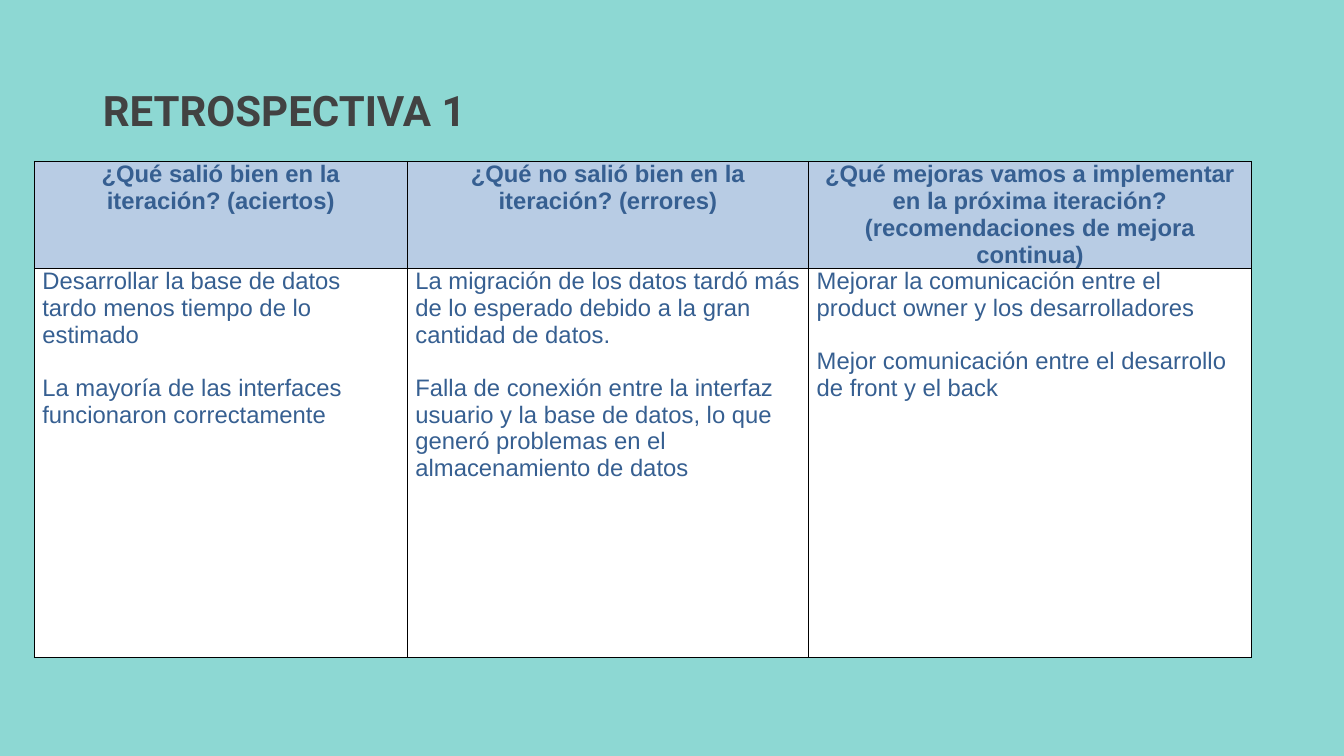
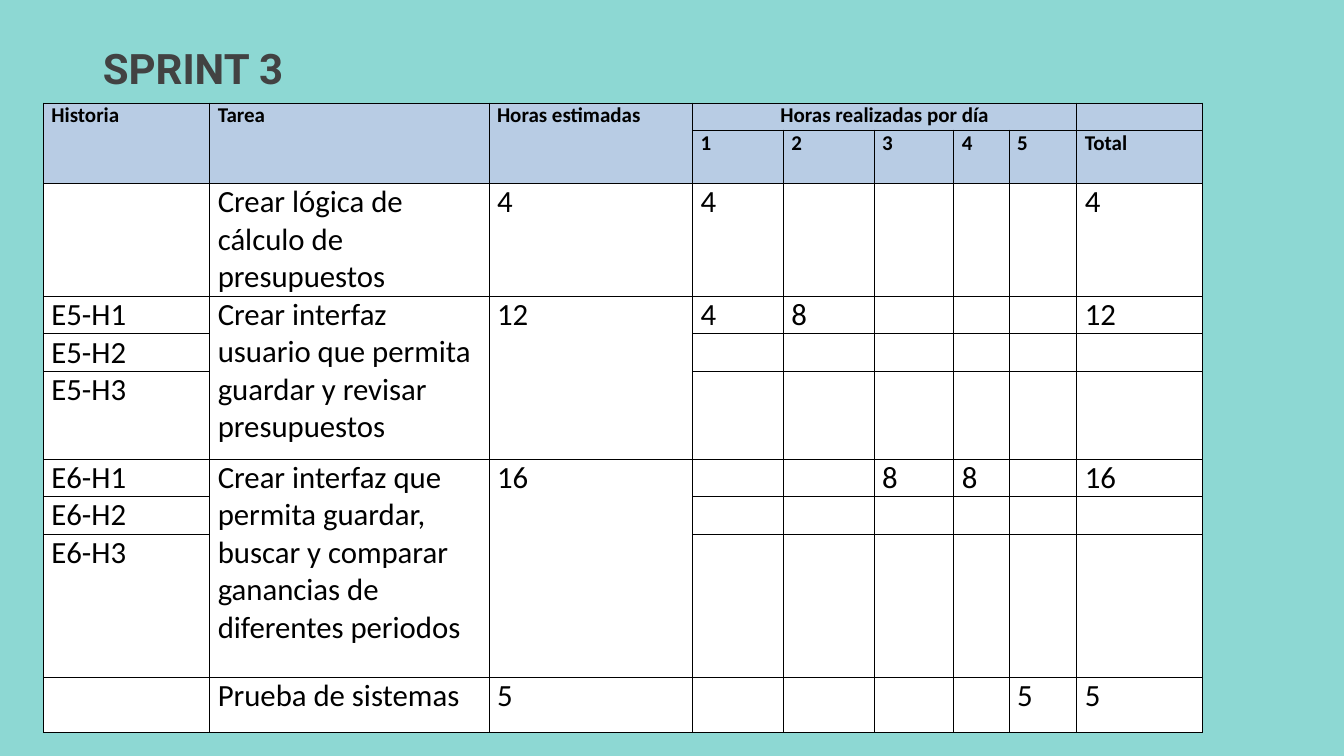
from lxml import etree
from pptx import Presentation
from pptx.dml.color import RGBColor
from pptx.enum.text import MSO_ANCHOR, MSO_AUTO_SIZE, PP_ALIGN
from pptx.oxml import parse_xml
from pptx.oxml.ns import nsdecls, qn
from pptx.util import Inches, Pt

LEFT, CENTER = PP_ALIGN.LEFT, PP_ALIGN.CENTER
MIDDLE = MSO_ANCHOR.MIDDLE
NO_AUTOFIT = MSO_AUTO_SIZE.NONE

BACKGROUND, TITLE_GREY = "8DD8D3", "424242"
HEADER_BLUE, TEXT_BLUE = "B8CCE4", "365F91"
WHITE, BLACK = "FFFFFF", "000000"
TITLE_ONLY = 5

REVIEW_COLUMNS = [
    ("¿Qué salió bien en la iteración? (aciertos)",
     ["Desarrollar la base de datos tardo menos tiempo de lo estimado",
      "La mayoría de las interfaces funcionaron correctamente"]),
    ("¿Qué no salió bien en la iteración? (errores)",
     ["La migración de los datos tardó más de lo esperado debido a la gran "
      "cantidad de datos.",
      "Falla de conexión entre la interfaz usuario y la base de datos, lo que "
      "generó problemas en el almacenamiento de datos"]),
    ("¿Qué mejoras vamos a implementar en la próxima iteración? "
     "(recomendaciones de mejora continua)",
     ["Mejorar la comunicación entre el product owner y los desarrolladores",
      "Mejor comunicación entre el desarrollo de front y el back"]),
]

SPRINT_HEADER = [
    ["Historia", "Tarea", "Horas estimadas", "Horas realizadas por día",
     "", "", "", "", ""],
    ["", "", "", "1", "2", "3", "4", "5", "Total"],
]
# Stories, task, estimated hours (also the total), hours worked by day
SPRINT_TASKS = [
    ([""], "Crear lógica de cálculo de presupuestos", 4, {1: 4}),
    (["E5-H1", "E5-H2", "E5-H3"],
     "Crear interfaz usuario que permita guardar y revisar presupuestos",
     12, {1: 4, 2: 8}),
    (["E6-H1", "E6-H2", "E6-H3"],
     "Crear interfaz que permita guardar, buscar y comparar ganancias de "
     "diferentes periodos", 16, {3: 8, 4: 8}),
    ([""], "Prueba de sistemas", 5, {5: 5}),
]


def rgb(color):
    return RGBColor.from_string(color)


def style_font(font, name, size, color, bold):
    font.name, font.size, font.bold = name, Pt(size), bold
    font.color.rgb = rgb(color)


def add_title_slide(prs, title, height):
    s = prs.slides.add_slide(prs.slide_layouts[TITLE_ONLY])
    sp = s.shapes.title
    sp.left, sp.top = Inches(0.92), Inches(0.4)
    sp.width, sp.height = Inches(11.5), Inches(height)
    tf = sp.text_frame
    tf.text = title
    tf.auto_size, tf.vertical_anchor = NO_AUTOFIT, MIDDLE
    p = tf.paragraphs[0]
    p.alignment, p.line_spacing = LEFT, 0.9
    style_font(p.runs[0].font, "Roboto", 30, TITLE_GREY, True)
    return s


def add_grid(s, left, top, widths, heights):
    frame = s.shapes.add_table(len(heights), len(widths), Inches(left),
                               Inches(top), Inches(sum(widths)),
                               Inches(sum(heights)))
    table = frame.table
    for column, width in zip(table.columns, widths):
        column.width = Inches(width)
    for row, height in zip(table.rows, heights):
        row.height = Inches(height)
    return table


def add_borders(cell):
    tc_pr = cell._tc.get_or_add_tcPr()
    for i, side in enumerate("LRTB"):
        tc_pr.insert(i, parse_xml(
            f'<a:ln{side} {nsdecls("a")} w="6350"><a:solidFill>'
            f'<a:srgbClr val="{BLACK}"/></a:solidFill></a:ln{side}>'))


def fill_cell(cell, paragraphs, fill, name, size, color, bold, align=LEFT):
    cell.fill.solid()
    cell.fill.fore_color.rgb = rgb(fill)
    cell.margin_left = cell.margin_right = Inches(0.08)
    cell.margin_top = cell.margin_bottom = 0
    add_borders(cell)
    tf = cell.text_frame
    for i, text in enumerate(paragraphs):
        p = tf.add_paragraph() if i else tf.paragraphs[0]
        p.text, p.alignment = text, align
        if i:
            p.space_before = Pt(19)
        for r in p.runs:
            style_font(r.font, name, size, color, bold)
        if not text:  # keeps an empty cell from stretching its row
            etree.SubElement(p._p, qn("a:endParaRPr"), sz=str(size * 100))


def retrospective_slide(prs):
    s = add_title_slide(prs, "RETROSPECTIVA 1", 1.45)
    table = add_grid(s, 0.34, 1.6, [3.7, 3.98, 4.39], [1.05, 3.86])
    for c, (question, answers) in enumerate(REVIEW_COLUMNS):
        fill_cell(table.cell(0, c), [question], HEADER_BLUE,
                  "Arial", 17, TEXT_BLUE, True, CENTER)
        fill_cell(table.cell(1, c), answers, WHITE,
                  "Arial", 17, TEXT_BLUE, False)


def sprint_rows():
    """Return the body rows and the (first, last) table rows of each task."""
    rows, spans = [], []
    for stories, task, hours, worked in SPRINT_TASKS:
        first = len(SPRINT_HEADER) + len(rows)
        spans.append((first, first + len(stories) - 1))
        days = [str(worked.get(day, "")) for day in range(1, 6)]
        rows.append([stories[0], task, str(hours), *days, str(hours)])
        rows += [[story] + [""] * 8 for story in stories[1:]]
    return rows, spans


def sprint_slide(prs):
    s = add_title_slide(prs, "SPRINT 3", 0.61)
    widths = [1.65, 2.77, 2.02, 0.9, 0.9, 0.79, 0.55, 0.67, 1.25]
    heights = [0.27, 0.53, 1.12, 0.37, 0.37, 0.87, 0.37, 0.37, 1.42, 0.55]
    table = add_grid(s, 0.43, 1.02, widths, heights)
    body, spans = sprint_rows()
    for r, row in enumerate(SPRINT_HEADER + body):
        header = r < len(SPRINT_HEADER)
        fill, size = (HEADER_BLUE, 15) if header else (WHITE, 22)
        for c, text in enumerate(row):
            align = CENTER if (r, c) == (0, 3) else LEFT
            fill_cell(table.cell(r, c), [text], fill,
                      "Calibri", size, BLACK, header, align)
    table.cell(0, 3).merge(table.cell(0, 7))
    for c in range(3):
        table.cell(0, c).merge(table.cell(1, c))
    for first, last in spans:
        if last > first:
            for c in (1, 2):
                table.cell(first, c).merge(table.cell(last, c))


def main():
    prs = Presentation()
    prs.slide_width, prs.slide_height = Inches(13.33), Inches(7.5)
    background = prs.slide_master.background.fill
    background.solid()
    background.fore_color.rgb = rgb(BACKGROUND)
    retrospective_slide(prs)
    sprint_slide(prs)
    prs.save("out.pptx")


if __name__ == "__main__":
    main()
